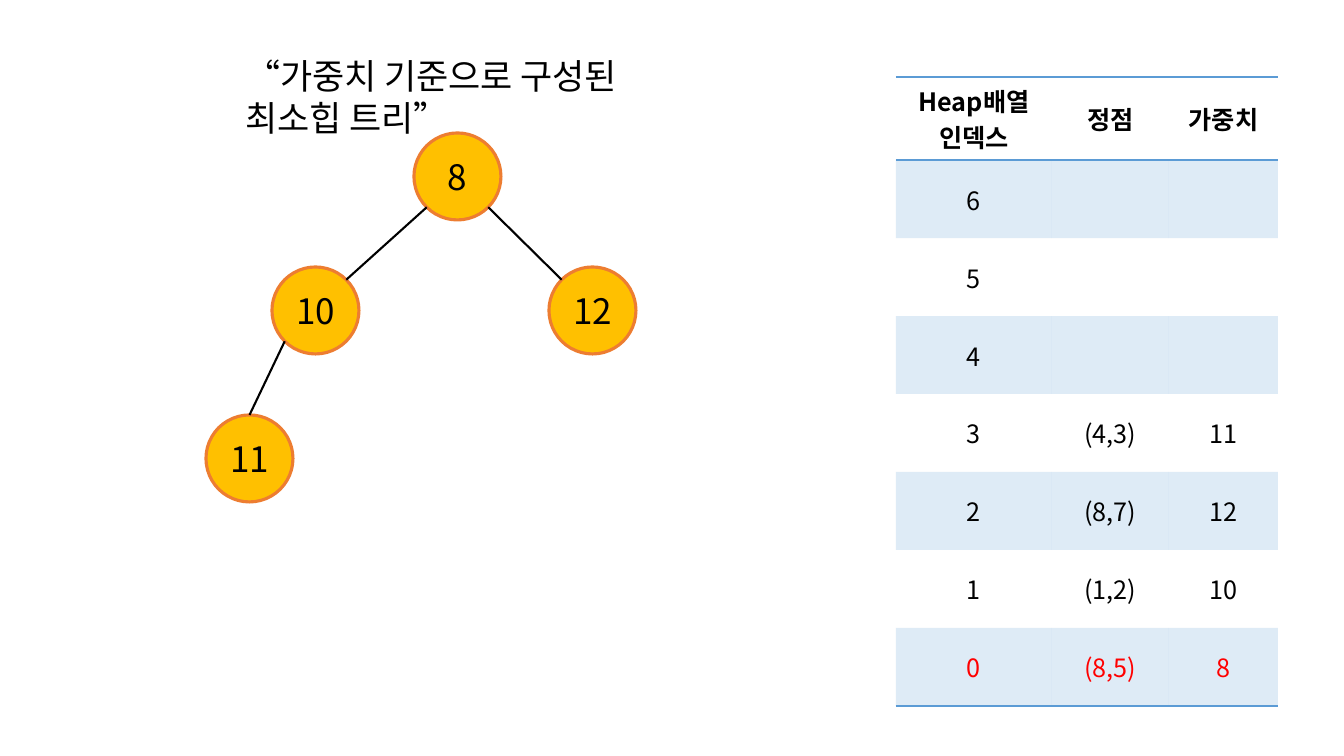
from math import sqrt
from typing import NamedTuple

from lxml import etree
from pptx import Presentation
from pptx import util as u
from pptx.dml.color import RGBColor
from pptx.enum import shapes, text
from pptx.oxml.ns import qn

SCALE = 914400 / 100.8
FONT = "Noto Sans CJK KR"
HEX = {"ink": "000000", "red": "FF0000", "blue": "5B9BD5",
       "gold": "FFC000", "rim": "ED7D31"}
PLAIN = "{2D5ABB26-0587-4C30-8999-92F81FD0307C}"  # table style without grid
SIZE = 87


class Node(NamedTuple):
    key: str
    left: int
    top: int
    side: int = 0  # -1 left child, 1 right child, 0 root
    join: str = "corner"  # where the branch from the parent ends


# Nodes in heap order: the parent of node i is (i - 1) // 2
NODES = [
    Node("8", 414, 133),
    Node("10", 272, 267, -1),
    Node("12", 549, 267, 1),
    Node("11", 206, 415, -1, "top"),
]
HEAD = ("Heap배열\n인덱스", "정점", "가중치")
ITEMS = [("8,5", "8"), ("1,2", "10"), ("8,7", "12"), ("4,3", "11")]
COLS = (156, 117, 109)
SLOTS = 7


def px(n: float) -> int:
    return round(n * SCALE)


def rgb(name: str) -> RGBColor:
    return RGBColor.from_string(HEX[name])


def write(frame, words: str, *, size: float, color: str = "ink",
          bold: bool = False, align=text.PP_ALIGN.CENTER) -> None:
    frame.text = words
    for para in frame.paragraphs:
        para.alignment = align
        for run in para.runs:
            font = run.font
            font.name, font.size, font.bold = FONT, u.Pt(size), bold
            font.color.rgb = rgb(color)
            east = etree.SubElement(run._r.get_or_add_rPr(), qn("a:ea"))
            east.set("typeface", FONT)


def rule(cell, edges: str) -> None:
    props = cell._tc.get_or_add_tcPr()
    for spot, edge in enumerate(edges):
        line = etree.Element(qn(f"a:ln{edge}"), w=str(u.Pt(1)))
        fill = etree.SubElement(line, qn("a:solidFill"))
        etree.SubElement(fill, qn("a:srgbClr"), val=HEX["blue"])
        props.insert(spot, line)


def shade(cell) -> None:
    cell.fill.solid()
    cell.fill.fore_color.rgb = rgb("blue")
    tint = cell._tc.tcPr.find(".//" + qn("a:srgbClr"))
    etree.SubElement(tint, qn("a:alpha"), val="20000")


def draw_table(slide) -> None:
    rows = [HEAD]
    for slot in reversed(range(SLOTS)):
        pair, cost = ITEMS[slot] if slot < len(ITEMS) else ("", "")
        rows.append((str(slot), f"({pair})" if pair else "", cost))
    frame = slide.shapes.add_table(len(rows), len(COLS), px(896), px(77),
                                   px(sum(COLS)), px(73 + 78 * SLOTS))
    grid = frame.table
    grid._tbl.tblPr.find(qn("a:tableStyleId")).text = PLAIN
    for col, width in zip(grid.columns, COLS):
        col.width = px(width)
    for r, row in enumerate(rows):
        grid.rows[r].height = px(78 if r else 73)
        for c, words in enumerate(row):
            cell = grid.cell(r, c)
            cell.vertical_anchor = text.MSO_ANCHOR.MIDDLE
            write(cell.text_frame, words, size=18, bold=r == 0,
                  color="red" if r == SLOTS else "ink")
            if r % 2:
                shade(cell)
            else:
                cell.fill.background()
            if r == 0:
                rule(cell, "TB")
            elif r == SLOTS:
                rule(cell, "B")


def draw_title(slide) -> None:
    title = slide.shapes.title
    title.left, title.top = px(235), px(49)
    title.width, title.height = px(480), px(52)
    frame = title.text_frame
    frame.auto_size = text.MSO_AUTO_SIZE.NONE
    frame.word_wrap = True
    frame.vertical_anchor = text.MSO_ANCHOR.TOP
    write(frame, "“가중치 기준으로 구성된 최소힙 트리”", size=25,
          align=text.PP_ALIGN.LEFT)


def draw_node(slide, node: Node) -> None:
    disc = slide.shapes.add_shape(shapes.MSO_SHAPE.OVAL, px(node.left),
                                  px(node.top), px(SIZE), px(SIZE))
    disc.shadow.inherit = False
    disc.fill.solid()
    disc.fill.fore_color.rgb = rgb("gold")
    disc.line.color.rgb = rgb("rim")
    disc.line.width = u.Pt(2.25)
    disc.text_frame.vertical_anchor = text.MSO_ANCHOR.MIDDLE
    write(disc.text_frame, node.key, size=25)


def spot(node: Node, dx: float, dy: float) -> tuple[int, int]:
    half = SIZE / 2
    return px(node.left + half * (1 + dx)), px(node.top + half * (1 + dy))


def draw_branch(slide, node: Node, parent: Node) -> None:
    diag = 1 / sqrt(2)
    start = spot(parent, node.side * diag, diag)
    end = spot(node, 0, -1) if node.join == "top" else spot(
        node, -node.side * diag, -diag)
    line = slide.shapes.add_connector(shapes.MSO_CONNECTOR.STRAIGHT,
                                      *start, *end)
    line.line.color.rgb = rgb("ink")
    line.line.width = u.Pt(1.5)
    etree.SubElement(line._element.spPr, qn("a:effectLst"))


def main() -> None:
    deck = Presentation()
    deck.slide_width, deck.slide_height = px(1344), px(756)
    slide = deck.slides.add_slide(deck.slide_layouts[5])
    # Heap array
    draw_table(slide)
    # Heap tree
    draw_title(slide)
    for node in NODES:
        draw_node(slide, node)
    for i, node in enumerate(NODES[1:], 1):
        draw_branch(slide, node, NODES[(i - 1) // 2])
    deck.save("out.pptx")


if __name__ == "__main__":
    main()
